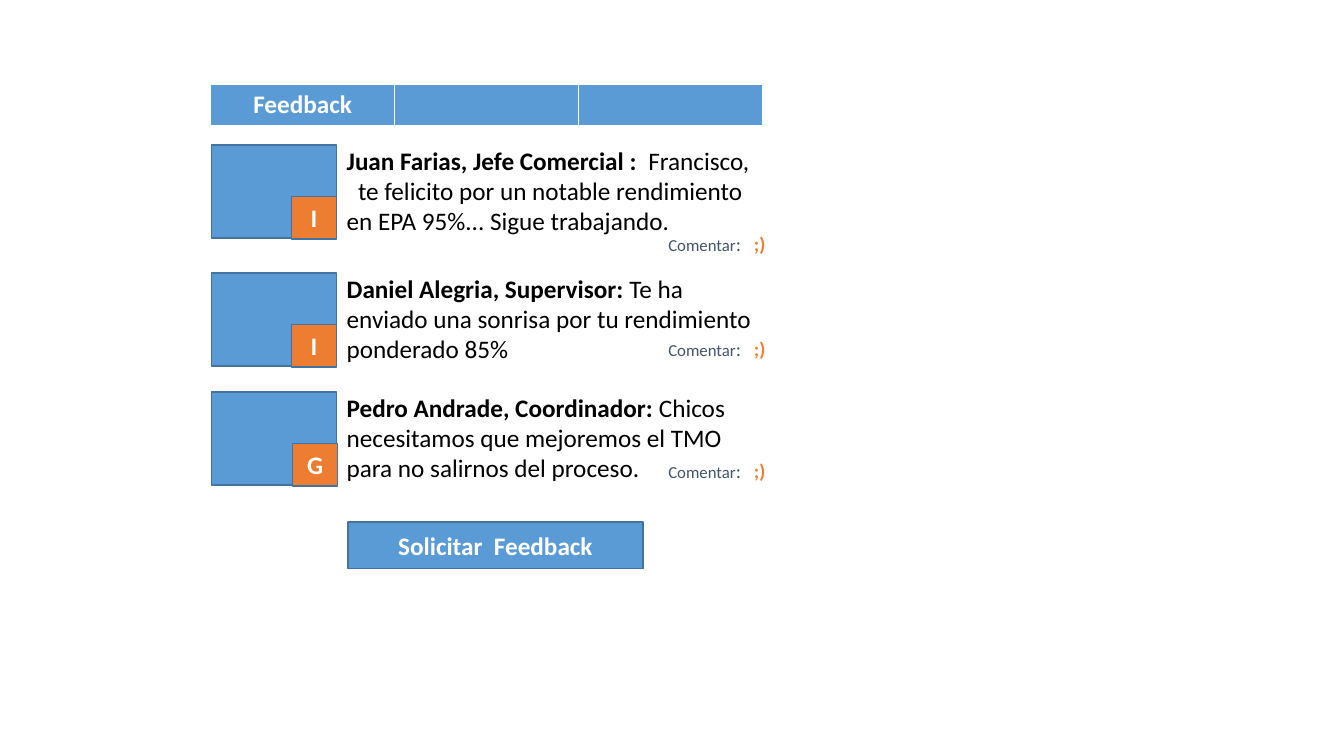
from lxml import etree
from pptx import Presentation
from pptx.dml.color import RGBColor
from pptx.enum.shapes import MSO_SHAPE as Shape
from pptx.enum.text import MSO_ANCHOR as Anchor, MSO_AUTO_SIZE as AutoSize, PP_ALIGN as Align
from pptx.oxml.ns import qn
from pptx.util import Inches, Pt

BLUE, ORANGE, OUTLINE = "5B9BD5", "ED7D31", "43739E"
WHITE, BLACK, SLATE = "FFFFFF", "000000", "44546A"


def color(value):
    return RGBColor.from_string(value)


class FeedbackSlide:
    font_name = "Calibri"

    def __init__(self, presentation):
        self.slide = presentation.slides.add_slide(presentation.slide_layouts[6])

    def style(self, font, size, value, bold=False):
        font.name, font.size, font.bold = self.font_name, Pt(size), bold
        font.color.rgb = color(value)

    def label(self, paragraph, text):
        paragraph.text = text
        paragraph.alignment = Align.CENTER
        self.style(paragraph.font, 18, WHITE, True)

    def box(self, left, top, width, height, fill, text=""):
        shape = self.slide.shapes.add_shape(
            Shape.RECTANGLE, Inches(left), Inches(top), Inches(width), Inches(height))
        shape.shadow.inherit = False
        shape.fill.solid()
        shape.fill.fore_color.rgb = color(fill)
        shape.line.color.rgb = color(OUTLINE)
        shape.line.width = Pt(1)
        if text:
            shape.text_frame.vertical_anchor = Anchor.MIDDLE
            self.label(shape.text_frame.paragraphs[0], text)

    def text(self, left, top, width, height, runs):
        """Each run is (text, size, color, bold)."""
        shape = self.slide.shapes.add_textbox(
            Inches(left), Inches(top), Inches(width), Inches(height))
        shape.text_frame.word_wrap = True
        shape.text_frame.auto_size = AutoSize.SHAPE_TO_FIT_TEXT
        paragraph = shape.text_frame.paragraphs[0]
        for words, *look in runs:
            run = paragraph.add_run()
            run.text = words
            self.style(run.font, *look)
        return paragraph

    def comment_link(self, left, top):
        paragraph = self.text(left, top, 1.17, 0.34, [
            ("Comentar", 12, SLATE), (":\t", 14, SLATE), (";)", 14, ORANGE, True)])
        # Tab stop that sets the smiley apart
        tabs = etree.SubElement(paragraph._p.get_or_add_pPr(), qn("a:tabLst"))
        etree.SubElement(tabs, qn("a:tab"), pos=str(Inches(0.85)), algn="l")

    def header(self, left, top, width, height, titles):
        table = self.slide.shapes.add_table(
            1, len(titles), Inches(left), Inches(top), Inches(width), Inches(height)).table
        for cell, title in zip(table.rows[0].cells, titles):
            cell.fill.solid()
            cell.fill.fore_color.rgb = color(BLUE)
            self.label(cell.text_frame.paragraphs[0], title)


def main():
    presentation = Presentation()
    presentation.slide_width, presentation.slide_height = Inches(13.33), Inches(7.5)
    feedback = FeedbackSlide(presentation)

    # Header bar
    feedback.header(2.09, 0.84, 5.47, 0.4, ["Feedback", "", ""])

    # Messages: photo top, badge left, badge, link top, sender, message
    messages = [
        (1.44, 2.89, "I", 2.25, "Juan Farias, Jefe Comercial :  ",
         "Francisco,   te felicito por un notable rendimiento en EPA 95%... Sigue trabajando."),
        (2.71, 2.89, "I", 3.29, "Daniel Alegria, Supervisor: ",
         "Te ha enviado una sonrisa por tu rendimiento ponderado 85%"),
        (3.89, 2.9, "G", 4.5, "Pedro Andrade, Coordinador: ",
         "Chicos necesitamos que mejoremos el TMO para no salirnos del proceso."),
    ]
    for top, badge_left, badge, link_top, sender, message in messages:
        feedback.box(2.1, top, 1.24, 0.92, BLUE)
        feedback.box(badge_left, top + 0.51, 0.45, 0.42, ORANGE, badge)
        feedback.text(3.34, top - 0.05, 4.23, 1.01,
                      [(sender, 18, BLACK, True), (message, 18, BLACK)])
        feedback.comment_link(6.53, link_top)

    # Request button
    feedback.box(3.45, 5.18, 2.93, 0.46, BLUE, "Solicitar  Feedback")

    presentation.save("out.pptx")


if __name__ == "__main__":
    main()
